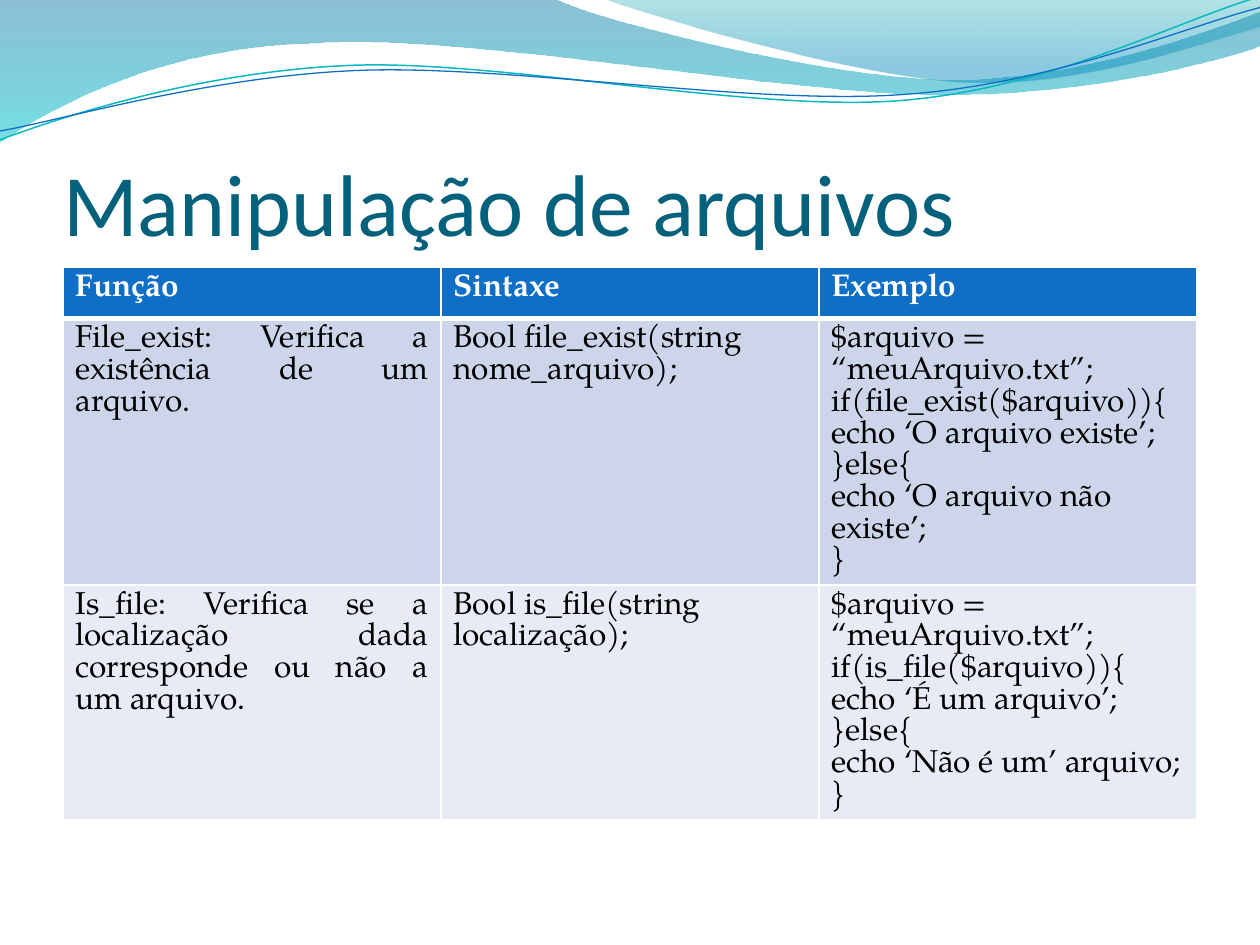
from lxml.etree import SubElement
from pptx import Presentation
from pptx.dml.color import RGBColor
from pptx.enum.text import MSO_ANCHOR, MSO_AUTO_SIZE, PP_ALIGN
from pptx.oxml.ns import qn
from pptx.util import Inches, Pt

# Content
TITLE = "Manipulação de arquivos"
HEAD = ["Função", "Sintaxe", "Exemplo"]
ROWS = [
    ["File_exist: Verifica a existência de um arquivo.",
     "Bool file_exist(string nome_arquivo);",
     "$arquivo = “meuArquivo.txt”;\nif(file_exist($arquivo)){\n"
     "echo ‘O arquivo existe’;\n}else{\necho ‘O arquivo não existe’;\n}"],
    ["Is_file: Verifica se a localização dada corresponde ou não a um arquivo.",
     "Bool is_file(string localização);",
     "$arquivo = “meuArquivo.txt”;\nif(is_file($arquivo)){\n"
     "echo ‘É um arquivo’;\n}else{\necho ‘Não é um’ arquivo;\n}"],
]
COLOR = {"title": "04617B", "head": "0F6FC6", "odd": "CCD5EA", "even": "E7EBF5",
         "text": "000000", "white": "FFFFFF", "teal": "0AB8BF", "blue": "0F6FC6",
         "deep": "0074A1", "aqua": "00C6CF", "sea": "00A1A9", "sky": "008BBF"}
HEAD_FONT, BODY_FONT = "Calibri", "TeX Gyre Pagella"
WIDE, HIGH = 10, 7.5
EDGE = 0.05 * WIDE
ROW = 0.41  # least height; rows grow with their text
UNIT = 1000  # outline units to the inch

# Waves in inches: a pair is a corner, a six is a Bézier curve
BANDS = [
    ([(0, 0), (4.4, -0.01), (4.76, 0.17, 6.64, 0.63, 7.58, 0.63),
      (8.53, 0.63, 9.58, 0.26, 10, 0.09), (10.01, 0.36),
      (9.83, 0.44, 8.7, 0.76, 7.46, 0.75), (6.22, 0.75, 3.82, 0.28, 2.57, 0.34),
      (1.29, 0.36, 0.46, 0.83, -0.01, 1.13)],
     [(0, "deep", 45), (1, "aqua", 55)]),
    ([(4.79, -0.01), (5.09, 0.11, 6.82, 0.62, 7.69, 0.65),
      (8.56, 0.69, 9.61, 0.32, 10, 0.21), (10, 0)],
     [(0, "sea", 30), (0.8, "sky", 45)]),
]
LINES = [
    ([(0, 1.11), (0.48, 0.93, 1.58, 0.57, 2.77, 0.52),
      (3.95, 0.47, 5.93, 0.89, 7.13, 0.8), (8.33, 0.71, 9.38, 0.15, 9.98, -0.02)],
     "teal", 0.85),
    ([(0, 1.04), (0.47, 0.96, 1.64, 0.61, 2.83, 0.56),
      (4.03, 0.51, 5.97, 0.84, 7.17, 0.75), (8.36, 0.67, 9.41, 0.21, 10, 0.06)],
     "blue", 0.75),
]


def rgb(name):
    return RGBColor.from_string(COLOR[name])


def wave(path, close):
    """Draw the outline through its knots, then bend the curved parts."""
    parts = [[round(v * UNIT) for v in part] for part in path]
    knots = [part[-2:] for part in parts]
    pen = slide.shapes.build_freeform(*knots[0], scale=Inches(1) / UNIT)
    pen.add_line_segments(knots[1:], close=close)
    shape = pen.convert_to_shape()
    shape.shadow.inherit = False
    left, top = (min(axis) for axis in zip(*knots))
    sides = list(shape._element.iter(qn("a:lnTo")))
    for side, part in zip(sides, parts[1:]):
        if len(part) == 6:
            bend = side.makeelement(qn("a:cubicBezTo"), {})
            for x, y in zip(part[::2], part[1::2]):
                SubElement(bend, qn("a:pt"), x=str(x - left), y=str(y - top))
            side.getparent().replace(side, bend)
    return shape


def style(para, font, size, color, bold=False):
    for run in para.runs:
        run.font.name, run.font.size, run.font.bold = font, Pt(size), bold
        run.font.color.rgb = rgb(color)


def border(cell, base):
    """White rules on all sides, the lower one as thick as given."""
    props = cell._tc.get_or_add_tcPr()
    for i, (side, width) in enumerate(zip("LRTB", (1, 1, 1, base))):
        line = props.makeelement(qn(f"a:ln{side}"), {"w": str(Pt(width))})
        fill = SubElement(line, qn("a:solidFill"))
        SubElement(fill, qn("a:srgbClr"), val=COLOR["white"])
        props.insert(i, line)


prs = Presentation()
prs.slide_width, prs.slide_height = Inches(WIDE), Inches(HIGH)
slide = prs.slides.add_slide(prs.slide_layouts[5])

# Wave bands
for path, stops in BANDS:
    band = wave(path, True)
    band.line.fill.background()
    band.fill.gradient()
    band.fill.gradient_angle = 270
    for stop, (pos, name, _) in zip(band.fill.gradient_stops, stops):
        stop.position = pos
        stop.color.rgb = rgb(name)
    for tone, (_, _, alpha) in zip(band._element.spPr.iter(qn("a:srgbClr")), stops):
        SubElement(tone, qn("a:alpha"), val=str(alpha * 1000))

# Wave lines
for path, name, width in LINES:
    curve = wave(path, False)
    curve.fill.background()
    curve.line.color.rgb = rgb(name)
    curve.line.width = Pt(width)

# Title, in front of the waves
title = slide.shapes.title
slide.shapes._spTree.append(title._element)
title.left, title.top = Inches(EDGE), Inches(0.77)
title.width, title.height = Inches(WIDE - 2 * EDGE), Inches(1.25)
frame = title.text_frame
frame.text = TITLE
frame.word_wrap, frame.auto_size = True, MSO_AUTO_SIZE.NONE
frame.vertical_anchor = MSO_ANCHOR.BOTTOM
frame.margin_left = frame.margin_right = frame.margin_bottom = 0
frame.margin_top = Inches(0.05)
frame.paragraphs[0].alignment = PP_ALIGN.LEFT
style(frame.paragraphs[0], HEAD_FONT, 50, "title")

# Table
grid = [HEAD] + ROWS
table = slide.shapes.add_table(
    len(grid), len(HEAD), Inches(EDGE), Inches(2.12),
    Inches(WIDE - 2 * EDGE), Inches(ROW * len(grid))).table
for r, texts in enumerate(grid):
    top = r == 0
    for c, text in enumerate(texts):
        cell = table.cell(r, c)
        cell.text_frame.text = text
        cell.fill.solid()
        cell.fill.fore_color.rgb = rgb(("head", "odd", "even")[r])
        border(cell, 3 if top else 1)
        for para in cell.text_frame.paragraphs:
            para.alignment = PP_ALIGN.JUSTIFY if top or c == 0 else PP_ALIGN.LEFT
            style(para, BODY_FONT, 18, "white" if top else "text", top)

prs.save("out.pptx")
